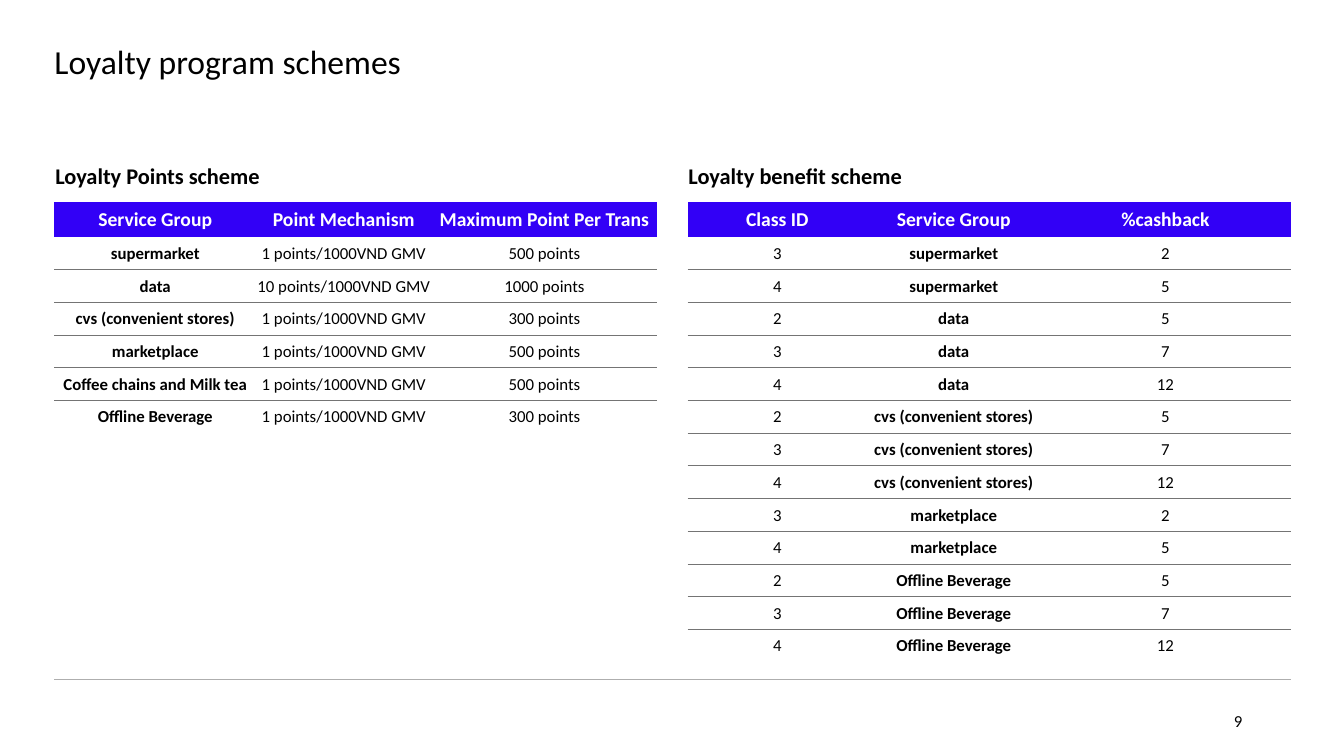
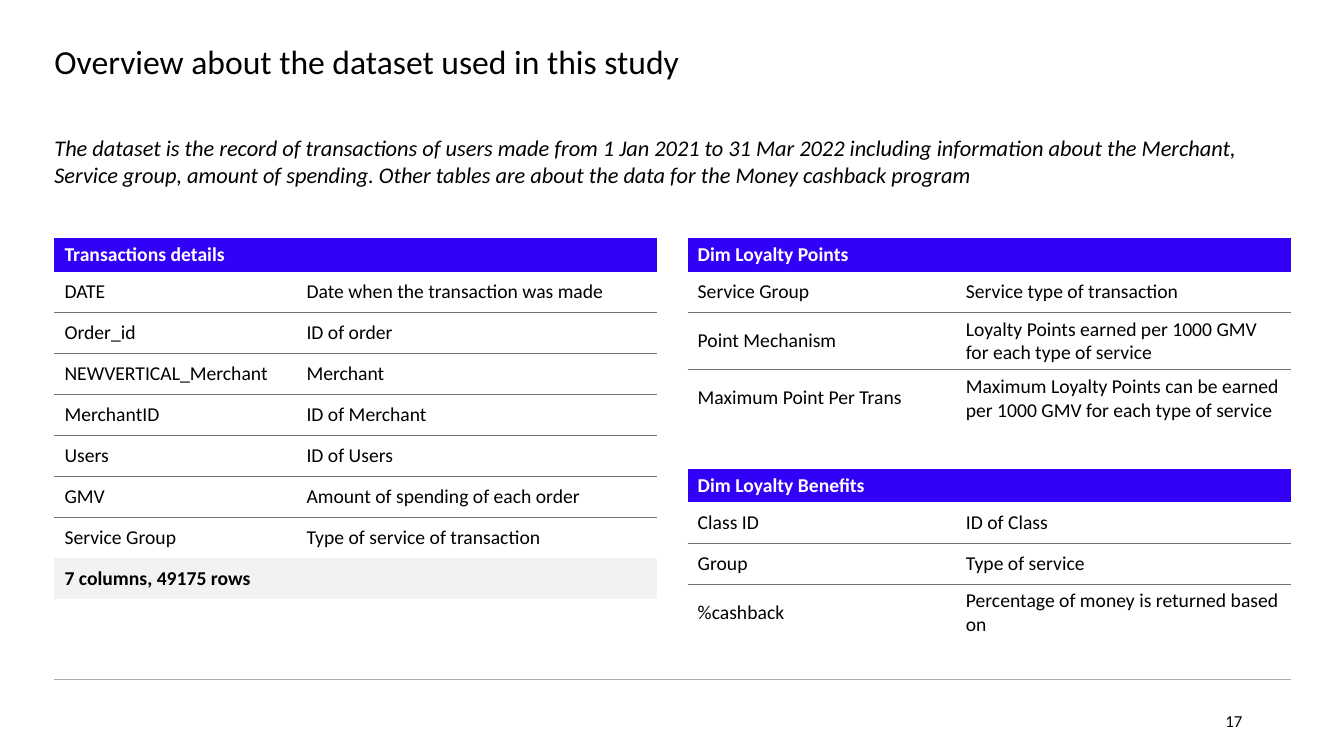
"""Build two slides on a loyalty program: its schemes and the dataset behind it."""
from dataclasses import dataclass

from lxml.etree import SubElement
from pptx import Presentation
from pptx.dml.color import RGBColor
from pptx.enum.shapes import MSO_CONNECTOR, MSO_SHAPE
from pptx.enum.text import MSO_ANCHOR, PP_ALIGN
from pptx.oxml import parse_xml
from pptx.oxml.ns import nsdecls, qn
from pptx.presentation import Presentation as Deck
from pptx.slide import Slide
from pptx.table import _Cell
from pptx.text.text import TextFrame
from pptx.util import Inches, Pt

BLACK = RGBColor(0x00, 0x00, 0x00)
WHITE = RGBColor(0xFF, 0xFF, 0xFF)
BLUE = RGBColor(0x32, 0x00, 0xF6)
PALE = RGBColor(0xF2, 0xF2, 0xF2)
RULE = RGBColor(0x74, 0x74, 0x74)
FOOT_RULE = RGBColor(0xAE, 0xAE, 0xAE)

FONT = "Calibri"
NO_STYLE = "{2D5ABB26-0587-4C30-8999-92F81FD0307C}"
SLIDE_W, SLIDE_H = 13.33, 7.5
LEFT, COL_W, GUTTER = 0.54, 5.98, 0.3
FULL_W = 2 * COL_W + GUTTER
FOOT_Y = 6.74
TIGHT = (0.01, 0.01, 0.01, 0)
ROOMY = (0.1, 0.05, 0.1, 0.05)
FLUSH = (0, 0.05, 0.1, 0.05)


@dataclass(frozen=True)
class TableStyle:
    """Look shared by the tables of one slide."""
    head_h: float
    row_h: float
    size: int
    margins: tuple[float, ...]
    align: PP_ALIGN


@dataclass(frozen=True)
class TableData:
    """One table: grid column, top, column proportions and text."""
    col: int
    top: float
    shares: tuple[float, ...]
    head: tuple[str, ...]
    rows: tuple[tuple[str, ...], ...]
    bold_col: int | None = None
    summary: str = ""


SCHEME = TableStyle(0.35, 4.22 / 13, 12, TIGHT, PP_ALIGN.CENTER)
FIELDS = TableStyle(0.33, 3.25 / 8, 14, ROOMY, PP_ALIGN.LEFT)

CVS = "cvs (convenient stores)"
POINTS = tuple(
    (group, f"{rate} points/1000VND GMV", f"{limit} points")
    for group, rate, limit in (
        ("supermarket", 1, 500),
        ("data", 10, 1000),
        (CVS, 1, 300),
        ("marketplace", 1, 500),
        ("Coffee chains and Milk tea", 1, 500),
        ("Offline Beverage", 1, 300),
    )
)
CASHBACK = {
    "supermarket": ((3, 2), (4, 5)),
    "data": ((2, 5), (3, 7), (4, 12)),
    CVS: ((2, 5), (3, 7), (4, 12)),
    "marketplace": ((3, 2), (4, 5)),
    "Offline Beverage": ((2, 5), (3, 7), (4, 12)),
}
BENEFITS = tuple(
    (str(class_id), group, str(percent))
    for group, levels in CASHBACK.items()
    for class_id, percent in levels
)

SCHEME_TABLES = (
    TableData(0, 2, (2, 1.74, 2.24),
              ("Service Group", "Point Mechanism", "Maximum Point Per Trans"),
              POINTS, bold_col=0),
    TableData(1, 2, (1.78, 1.72, 2.48),
              ("Class ID", "Service Group", "%cashback"),
              BENEFITS, bold_col=1),
)
FIELD_TABLES = (
    TableData(0, 2.36, (2.4, 3.58), ("Transactions details",), (
        ("DATE", "Date when the transaction was made"),
        ("Order_id", "ID of order"),
        ("NEWVERTICAL_Merchant", "Merchant"),
        ("MerchantID", "ID of Merchant"),
        ("Users", "ID of Users"),
        ("GMV", "Amount of spending of each order"),
        ("Service Group", "Type of service of transaction"),
    ), summary="7 columns, 49175 rows"),
    TableData(1, 2.36, (2.66, 3.32), ("Dim Loyalty Points",), (
        ("Service Group", "Service type of transaction"),
        ("Point Mechanism",
         "Loyalty Points earned per 1000 GMV for each type of service"),
        ("Maximum Point Per Trans",
         "Maximum Loyalty Points can be earned per 1000 GMV for each type of service"),
    )),
    TableData(1, 4.65, (2.66, 3.32), ("Dim Loyalty Benefits",), (
        ("Class ID", "ID of Class"),
        ("Group", "Type of service"),
        ("%cashback", "Percentage of money is returned based on"),
    )),
)
INTRO = (
    "The dataset is the record of transactions of users made from 1 Jan 2021 "
    "to 31 Mar 2022 including information about the Merchant, Service group, "
    "amount of spending. Other tables are about the data for the Money "
    "cashback program"
)


def col_x(col: int) -> float:
    """Return the left edge of a grid column."""
    return LEFT + col * (COL_W + GUTTER)


def set_margins(box: TextFrame | _Cell, margins: tuple[float, ...]) -> None:
    """Set left, top, right and bottom margins."""
    box.margin_left, box.margin_top, box.margin_right, box.margin_bottom = map(Inches, margins)


def write(tf: TextFrame, text: str, *, size: float, color: RGBColor = BLACK,
          bold: bool = False, italic: bool = False,
          align: PP_ALIGN = PP_ALIGN.LEFT, spacing: float = 1.0) -> None:
    """Write one formatted paragraph."""
    p = tf.paragraphs[0]
    p.alignment, p.line_spacing = align, spacing
    r = p.add_run()
    r.text = text
    f = r.font
    f.name, f.size, f.bold, f.italic = FONT, Pt(size), bold, italic
    f.color.rgb = color


def add_text(s: Slide, text: str, x: float, y: float, w: float, h: float,
             margins: tuple[float, ...] = ROOMY, **fmt) -> None:
    """Add a wrapped, vertically centred text box."""
    tf = s.shapes.add_textbox(*map(Inches, (x, y, w, h))).text_frame
    tf.word_wrap, tf.vertical_anchor = True, MSO_ANCHOR.MIDDLE
    set_margins(tf, margins)
    write(tf, text, **fmt)


def add_heading(s: Slide, text: str, x: float) -> None:
    """Add a white-outlined heading above a table."""
    sp = s.shapes.add_shape(MSO_SHAPE.RECTANGLE, *map(Inches, (x, 1.56, 3.08, 0.36)))
    sp.shadow.inherit = False
    sp.fill.background()
    sp.line.color.rgb, sp.line.width = WHITE, Pt(1.5)
    sp.text_frame.vertical_anchor = MSO_ANCHOR.MIDDLE
    write(sp.text_frame, text, size=16, bold=True)


def rule_below(cell: _Cell) -> None:
    """Draw a thin line under a table cell."""
    cell._tc.get_or_add_tcPr().insert(0, parse_xml(
        f'<a:lnB {nsdecls("a")} w="{Pt(0.5)}"><a:solidFill>'
        f'<a:srgbClr val="{RULE}"/></a:solidFill></a:lnB>'))


def fill_cell(cell: _Cell, text: str, style: TableStyle,
              fill: RGBColor | None = None, **fmt) -> None:
    """Fill and write one table cell."""
    cell.vertical_anchor = MSO_ANCHOR.MIDDLE
    set_margins(cell, style.margins)
    if fill is None:
        cell.fill.background()
    else:
        cell.fill.solid()
        cell.fill.fore_color.rgb = fill
    if text:
        write(cell.text_frame, text, align=style.align, **fmt)


def add_data_table(s: Slide, data: TableData, style: TableStyle) -> None:
    """Add a table with a blue head, ruled rows and an optional summary."""
    n_cols = len(data.shares)
    n_body = len(data.rows) + bool(data.summary)
    height = style.head_h + n_body * style.row_h
    table = s.shapes.add_table(
        n_body + 1, n_cols,
        *map(Inches, (col_x(data.col), data.top, COL_W, height))).table
    table.first_row = table.horz_banding = False
    table._tbl.tblPr.find(qn("a:tableStyleId")).text = NO_STYLE
    for column, share in zip(table.columns, data.shares):
        column.width = Inches(COL_W * share / sum(data.shares))
    for i, row in enumerate(table.rows):
        row.height = Inches(style.row_h if i else style.head_h)

    if len(data.head) < n_cols:
        table.cell(0, 0).merge(table.cell(0, n_cols - 1))
    for c, text in enumerate(data.head):
        fill_cell(table.cell(0, c), text, style, BLUE, size=14, color=WHITE, bold=True)
    for i, row in enumerate(data.rows, start=1):
        for c, text in enumerate(row):
            cell = table.cell(i, c)
            fill_cell(cell, text, style, size=style.size, bold=c == data.bold_col)
            if i < len(data.rows):
                rule_below(cell)
    if data.summary:
        for c in range(n_cols):
            fill_cell(table.cell(n_body, c), "" if c else data.summary, style,
                      PALE, size=style.size, bold=True)


def add_slide(prs: Deck, title: str, number: int) -> Slide:
    """Add a slide with the shared title, footer line and page number."""
    s = prs.slides.add_slide(prs.slide_layouts[5])
    sp = s.shapes.title
    sp.left, sp.top, sp.width, sp.height = map(Inches, (LEFT, 0.4, FULL_W, 0.68))
    sp.text_frame.vertical_anchor = MSO_ANCHOR.TOP
    set_margins(sp.text_frame, FLUSH)
    write(sp.text_frame, title, size=24, spacing=0.9)

    line = s.shapes.add_connector(
        MSO_CONNECTOR.STRAIGHT, *map(Inches, (LEFT, FOOT_Y, LEFT + FULL_W, FOOT_Y)))
    line.line.color.rgb, line.line.width = FOOT_RULE, Pt(0.75)
    SubElement(line._element.spPr, qn("a:effectLst"))
    add_text(s, str(number), 9.42, 6.95, 3, 0.4, size=12, align=PP_ALIGN.RIGHT)
    return s


def main() -> None:
    """Build and save the deck."""
    prs = Presentation()
    prs.slide_width, prs.slide_height = Inches(SLIDE_W), Inches(SLIDE_H)

    s = add_slide(prs, "Loyalty program schemes", 9)
    for data in SCHEME_TABLES:
        add_data_table(s, data, SCHEME)
    for col, text in enumerate(("Loyalty Points scheme", "Loyalty benefit scheme")):
        add_heading(s, text, col_x(col) - 0.09)

    s = add_slide(prs, "Overview about the dataset used in this study", 17)
    for data in FIELD_TABLES:
        add_data_table(s, data, FIELDS)
    add_text(s, INTRO, LEFT, 0.98, FULL_W, 1.24, FLUSH, size=16, italic=True)

    prs.save("out.pptx")


if __name__ == "__main__":
    main()
